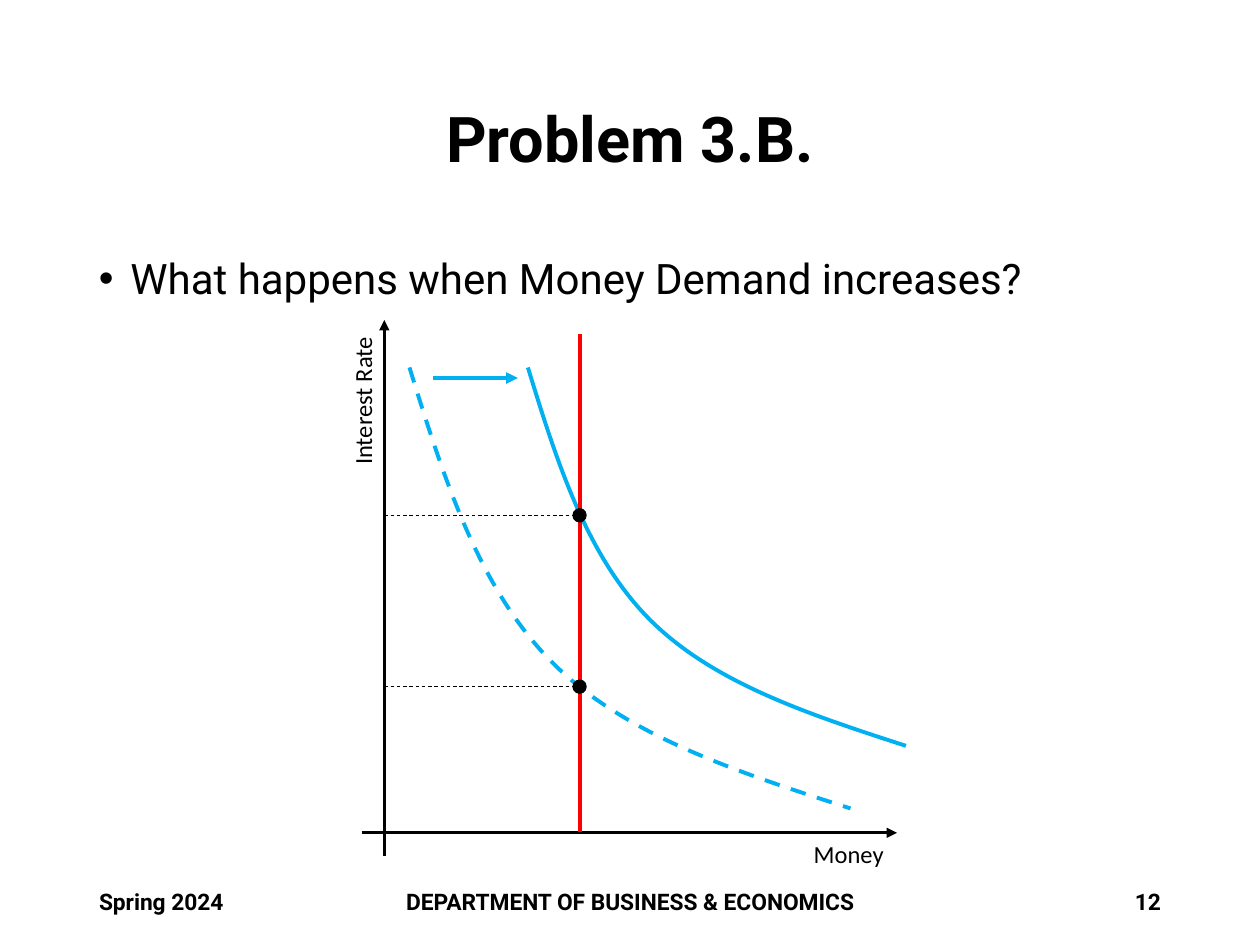
from dataclasses import dataclass
from pptx import Presentation
from pptx.dml.color import RGBColor
from pptx.enum.dml import MSO_LINE
from pptx.enum.shapes import MSO_CONNECTOR, MSO_SHAPE
from pptx.enum.text import MSO_ANCHOR, PP_ALIGN
from pptx.oxml.ns import qn
from pptx.util import Pt
from lxml.etree import SubElement


@dataclass(frozen=True)
class Theme:
    ink: RGBColor = RGBColor(0, 0, 0)
    demand: RGBColor = RGBColor(0x00, 0xB0, 0xF0)
    supply: RGBColor = RGBColor(0xFF, 0, 0)
    font: str = "Roboto"
    label_font: str = "Calibri"
    title_size: float = 36
    body_size: float = 24
    footer_size: float = 13
    label_size: float = 14


theme = Theme()


def write_text(box, text, size, font=theme.font, bold=False, align=PP_ALIGN.LEFT,
               anchor=MSO_ANCHOR.TOP, wrap=True, spacing=1.0, bullet=None):
    frame = box.text_frame
    frame.word_wrap = wrap
    frame.vertical_anchor = anchor
    para = frame.paragraphs[0]
    para.alignment = align
    para.line_spacing = spacing
    if bullet:
        properties = para._p.get_or_add_pPr()
        properties.set("marL", str(Pt(18)))
        properties.set("indent", str(-Pt(18)))
        SubElement(properties, qn("a:buFont")).set("typeface", "Arial")
        SubElement(properties, qn("a:buChar")).set("char", bullet)
    span = para.add_run()
    span.text = text
    span.font.name = font
    span.font.size = Pt(size)
    span.font.bold = bold
    span.font.color.rgb = theme.ink


def style_line(shape, color, width, dashed=False, arrow=False):
    shape.line.color.rgb = color
    shape.line.width = Pt(width)
    if dashed:
        shape.line.dash_style = MSO_LINE.DASH
    properties = shape.element.spPr
    if arrow:
        SubElement(properties.find(qn("a:ln")), qn("a:tailEnd")).set("type", "triangle")
    if properties.find(qn("a:effectLst")) is None:
        SubElement(properties, qn("a:effectLst"))


deck = Presentation()
deck.slide_width, deck.slide_height = Pt(720), Pt(540)
page = deck.slides.add_slide(deck.slide_layouts[5])
shapes = page.shapes

# Title and question
title = shapes.title
title.left, title.top, title.width, title.height = Pt(49.5), Pt(28.75), Pt(621), Pt(104.4)
write_text(title, "Problem 3.B.", theme.title_size, bold=True, align=PP_ALIGN.CENTER,
           anchor=MSO_ANCHOR.MIDDLE, spacing=0.9)
question = shapes.add_textbox(Pt(49.5), Pt(143.75), Pt(621), Pt(342.6))
write_text(question, "What happens when Money Demand increases?", theme.body_size,
           spacing=0.9, bullet="•")

# Footer
for text, left, width, align in [
    ("Spring 2024", 49.5, 162, PP_ALIGN.LEFT),
    ("DEPARTMENT OF BUSINESS & ECONOMICS", 133.2, 453.6, PP_ALIGN.CENTER),
    ("12", 508.5, 162, PP_ALIGN.RIGHT),
]:
    footer = shapes.add_textbox(Pt(left), Pt(500.5), Pt(width), Pt(28.75))
    write_text(footer, text, theme.footer_size, bold=True, align=align,
               anchor=MSO_ANCHOR.MIDDLE)

# Axis labels
for text, left, top, width, rotation in [
    ("Money", 457.9, 475.9, 54.7, 0),
    ("Interest Rate", 162.9, 216.3, 88.6, 270),
]:
    label = shapes.add_textbox(Pt(left), Pt(top), Pt(width), Pt(24.2))
    label.rotation = rotation
    write_text(label, text, theme.label_size, font=theme.label_font, wrap=False)

# Money demand curves, before (dashed) and after: a start and two Bezier segments
for points, dashed in [
    ([(234, 210), (253.5, 272.8), (273.4, 336), (315.4, 378.4),
      (357.1, 420.5), (422, 441.4), (486, 462)], True),
    ([(301.7, 210), (318.2, 264), (335.5, 318.2), (371.5, 354.2),
      (407.5, 390.2), (462.2, 408.2), (517.7, 426.2)], False),
]:
    start, *controls = [(Pt(x), Pt(y)) for x, y in points]
    builder = shapes.build_freeform(*start)
    builder.add_line_segments(controls, close=False)
    curve = builder.convert_to_shape()
    outline = curve.element.spPr.find(".//" + qn("a:path"))
    steps = outline.findall(qn("a:lnTo"))
    for first in range(0, len(steps), 3):
        bezier = SubElement(outline, qn("a:cubicBezTo"))
        for step in steps[first:first + 3]:
            bezier.append(step[0])
            outline.remove(step)
    curve.fill.background()
    style_line(curve, theme.demand, 2.25, dashed=dashed)

# Axes, shift arrow, money supply and guides to the interest rate axis
axis_x, supply_x = 219.6, 331.2
equilibria = [294.5, 392.4]
for start, end, color, width, dashed, arrow in [
    ((206.6, 475.9), (512.6, 475.9), theme.ink, 1.5, False, True),
    ((axis_x, 488.9), (axis_x, 182.9), theme.ink, 1.5, False, True),
    ((247.7, 216), (295.9, 216), theme.demand, 2.25, False, True),
    ((supply_x, 190.8), (supply_x, 475.2), theme.supply, 2.25, False, False),
    *[((axis_x, y), (supply_x - 3.6, y), theme.ink, 0.5, True, False)
      for y in equilibria],
]:
    line = shapes.add_connector(MSO_CONNECTOR.STRAIGHT, *map(Pt, start + end))
    style_line(line, color, width, dashed, arrow)

# Equilibrium points
for y in equilibria:
    dot = shapes.add_shape(MSO_SHAPE.OVAL, Pt(supply_x - 3.6), Pt(y - 3.6), Pt(7.2), Pt(7.2))
    dot.fill.solid()
    dot.fill.fore_color.rgb = theme.ink
    dot.shadow.inherit = False
    style_line(dot, theme.ink, 1)

deck.save("out.pptx")
